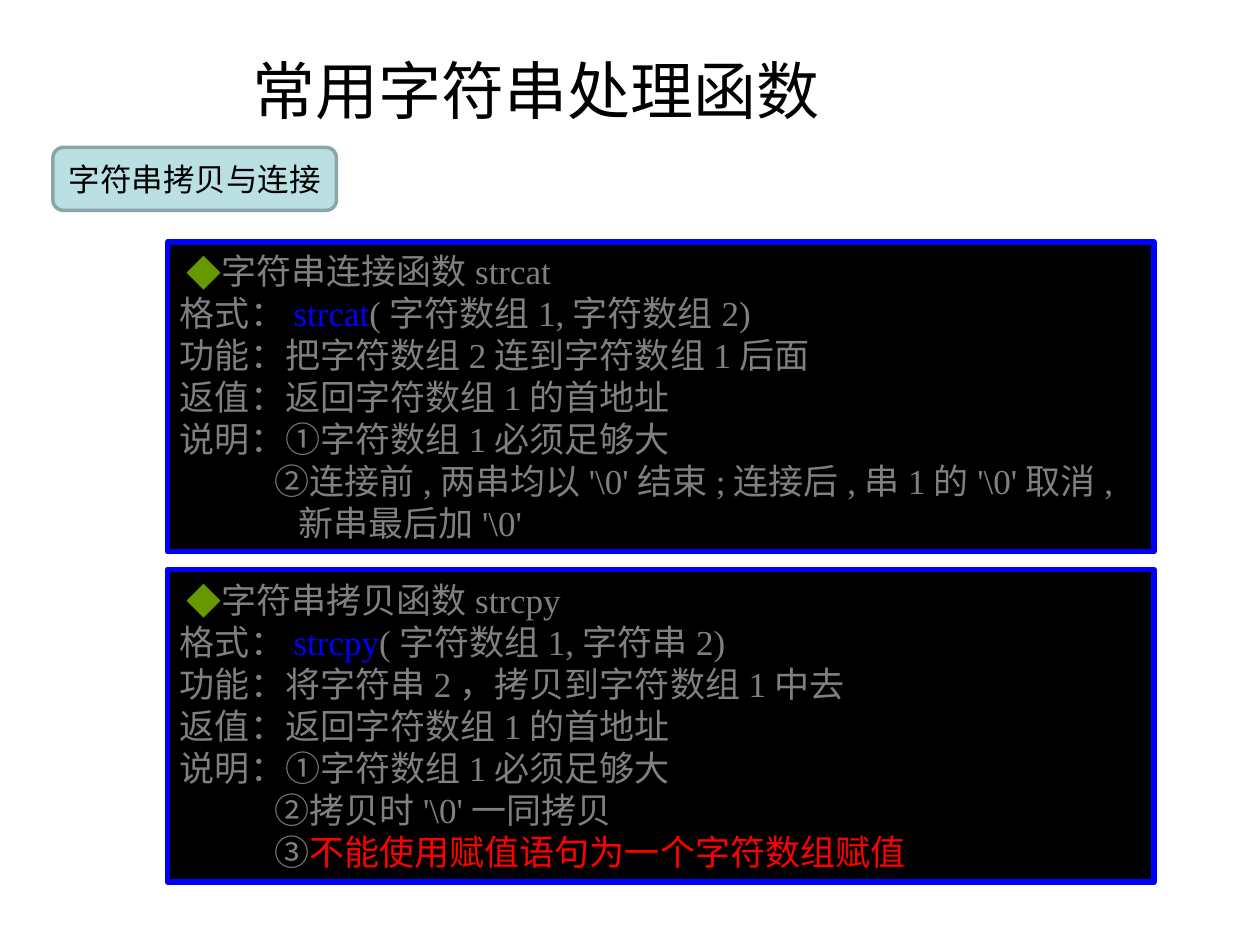
from lxml import etree
from pptx import Presentation, util as u
from pptx.dml.color import RGBColor
from pptx.enum import shapes, text
from pptx.oxml.ns import qn

HUES = {"ink": "000000", "gray": "808080", "blue": "0000FF", "red": "FF0000",
        "mark": "669900", "tag": "BBE0E3", "edge": "8AA6A8"}
CJK = "Noto Sans CJK SC"

TITLE = "常用字符串处理函数"
TAG = "字符串拷贝与连接"
# Each line: left indent in inches, then runs of (text, colour)
CARDS = [
    {"head": "字符串连接函数strcat", "top": 1.92, "high": 2.46, "lines": [
        (0, [("格式：", "gray"), ("strcat", "blue"), ("(字符数组1,字符数组2)", "gray")]),
        (0, [("功能：把字符数组2连到字符数组1后面", "gray")]),
        (0, [("返值：返回字符数组1的首地址", "gray")]),
        (0, [("说明：①字符数组1必须足够大", "gray")]),
        (0.75, [("②连接前,两串均以'\\0'结束;连接后,串1的'\\0'取消,", "gray")]),
        (0.94, [("新串最后加'\\0'", "gray")])]},
    {"head": "字符串拷贝函数strcpy", "top": 4.52, "high": 2.48, "lines": [
        (0, [("格式：", "gray"), ("strcpy", "blue"), ("(字符数组1,字符串2)", "gray")]),
        (0, [("功能：将字符串2，拷贝到字符数组1中去", "gray")]),
        (0, [("返值：返回字符数组1的首地址", "gray")]),
        (0, [("说明：①字符数组1必须足够大", "gray")]),
        (0.75, [("②拷贝时'\\0'一同拷贝", "gray")]),
        (0.75, [("③", "gray"), ("不能使用赋值语句为一个字符数组赋值", "red")])]},
]


def rgb(key):
    return RGBColor.from_string(HUES[key])


def put(para, words, hue, size, face):
    run = para.add_run()
    run.text = words
    for key, val in {"size": u.Pt(size), "name": face}.items():
        setattr(run.font, key, val)
    run.font.color.rgb = rgb(hue)
    etree.SubElement(run.font._element, qn("a:ea")).set("typeface", CJK)


def indent(para, left, first=0):
    props = para._p.get_or_add_pPr()
    props.set("marL", str(u.Inches(left)))
    props.set("indent", str(u.Inches(first)))
    return props


def bullet(para):
    props = indent(para, 0.28, -0.23)
    tint = etree.SubElement(props, qn("a:buClr"))
    etree.SubElement(tint, qn("a:srgbClr")).set("val", HUES["mark"])
    etree.SubElement(props, qn("a:buFont")).set("typeface", CJK)
    etree.SubElement(props, qn("a:buChar")).set("char", "◆")


def box(kind, spot, fill, line, width):
    shape = slide.shapes.add_shape(kind, *map(u.Inches, spot))
    shape.shadow.inherit = False
    shape.fill.solid()
    shape.fill.fore_color.rgb = rgb(fill)
    shape.line.color.rgb = rgb(line)
    shape.line.width = u.Pt(width)
    shape.text_frame.word_wrap = True
    shape.text_frame.vertical_anchor = text.MSO_ANCHOR.MIDDLE
    return shape.text_frame


deck = Presentation()
deck.slide_width, deck.slide_height = u.Inches(10), u.Inches(7.5)
slide = deck.slides.add_slide(deck.slide_layouts[5])

# Title
title = slide.shapes.title
for key, val in zip(("left", "top", "width", "height"), (1.33, 0.25, 8.17, 0.92)):
    setattr(title, key, u.Inches(val))
frame = title.text_frame
frame.vertical_anchor = text.MSO_ANCHOR.MIDDLE
para = frame.paragraphs[0]
para.alignment = text.PP_ALIGN.LEFT
indent(para, 0.57)
put(para, TITLE, "ink", 36, CJK)

# Function cards
for card in CARDS:
    frame = box(shapes.MSO_SHAPE.RECTANGLE, (1.33, card["top"], 7.83, card["high"]),
                "ink", "blue", 3)
    rows = [(None, [(card["head"], "gray")])] + card["lines"]
    for num, (left, runs) in enumerate(rows):
        para = frame.add_paragraph() if num else frame.paragraphs[0]
        para.alignment = text.PP_ALIGN.LEFT
        para.line_spacing = u.Pt(24)
        if left is None:
            bullet(para)
        else:
            indent(para, left)
        for words, hue in runs:
            put(para, words, hue, 20, "Times New Roman")

# Section tag
frame = box(shapes.MSO_SHAPE.ROUNDED_RECTANGLE, (0.42, 1.17, 2.25, 0.5), "tag", "edge", 2)
frame.paragraphs[0].alignment = text.PP_ALIGN.CENTER
put(frame.paragraphs[0], TAG, "ink", 18, "Arial")

deck.save("out.pptx")
